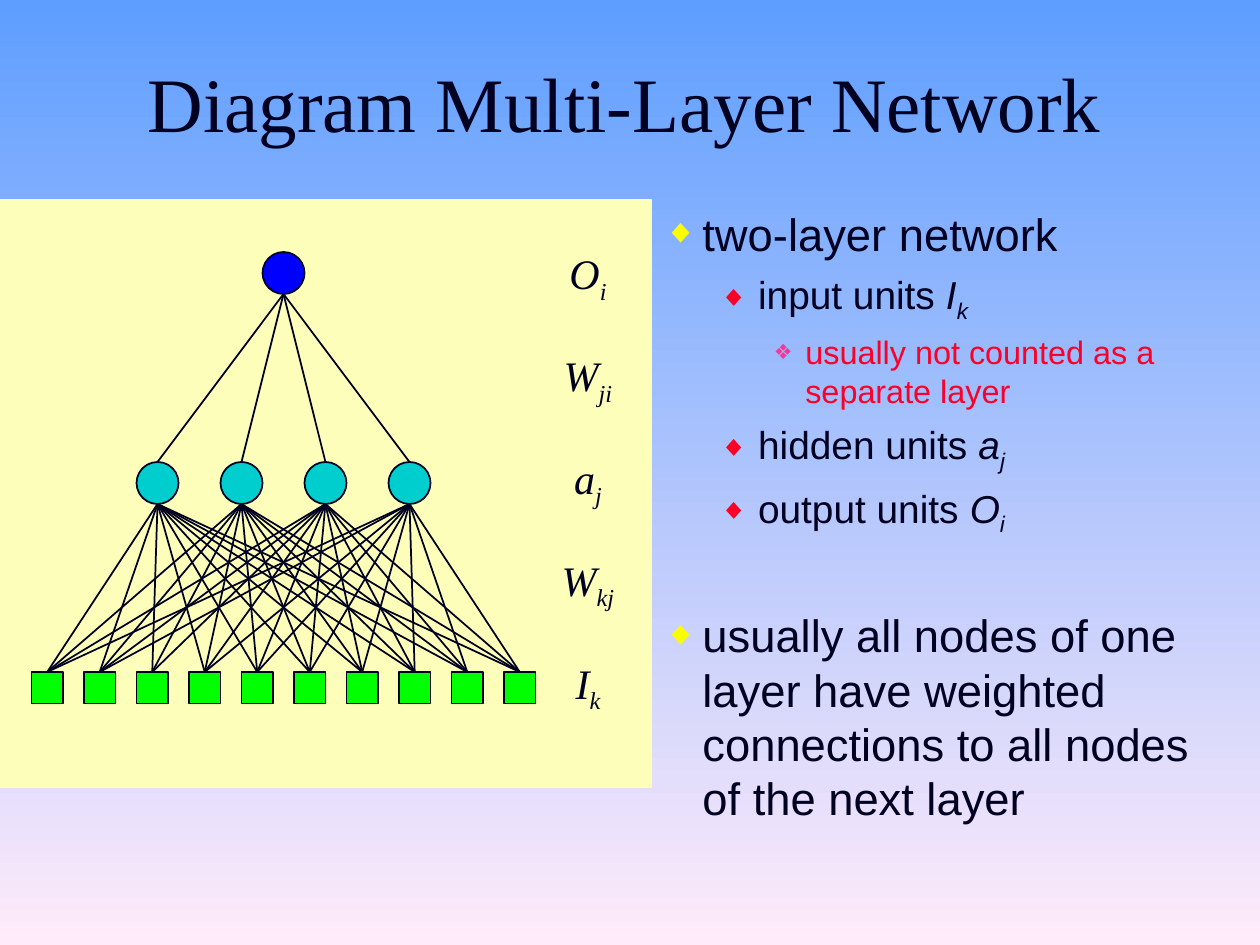
from dataclasses import dataclass
from itertools import product
from typing import NamedTuple

from lxml.etree import SubElement
from pptx import Presentation
from pptx.dml.color import RGBColor
from pptx.enum.shapes import MSO_CONNECTOR as Connector, MSO_SHAPE as Shape
from pptx.enum.text import MSO_ANCHOR as Anchor, MSO_AUTO_SIZE as AutoSize, PP_ALIGN as Align
from pptx.oxml.ns import qn
from pptx.util import Emu, Pt

EMU_PER_PX = 7620  # 120 px to the inch


@dataclass(frozen=True)
class Theme:
    ink: str = "000020"
    sky: str = "5E9EFF"
    blush: str = "FFEBFA"
    panel: str = "FCFEB9"
    output: str = "0000FF"
    hidden: str = "00CECE"
    input: str = "00FF00"
    yellow: str = "FAFD00"
    red: str = "FC0128"
    pink: str = "FF3399"
    serif: str = "Times New Roman"
    sans: str = "Arial"
    title_size: float = 44
    label_size: float = 24


THEME = Theme()


class Symbol(NamedTuple):
    letter: str
    index: str


class Label(NamedTuple):
    symbol: Symbol
    width: int


class Level(NamedTuple):
    size: float
    color: str
    bullet: str
    bullet_color: str
    bullet_percent: int
    margin: int
    hanging: int
    before: float


class Item(NamedTuple):
    level: int
    text: str
    symbol: Symbol | None = None
    before: float | None = None


@dataclass(frozen=True)
class Layer:
    count: int
    left: int
    top: int
    size: int
    pitch: int
    shape: Shape
    fill: str

    def lefts(self) -> list[int]:
        return [self.left + n * self.pitch for n in range(self.count)]

    def centers(self) -> list[int]:
        return [left + self.size // 2 for left in self.lefts()]


OUTPUTS = Layer(1, 250, 240, 40, 80, Shape.OVAL, THEME.output)
HIDDEN = Layer(4, 130, 440, 40, 80, Shape.OVAL, THEME.hidden)
INPUTS = Layer(10, 30, 640, 30, 50, Shape.RECTANGLE, THEME.input)
UNLINKED = {(2, 3)}  # third input and fourth hidden unit

OUTPUT, ACTIVATION, INPUT = Symbol("O", "i"), Symbol("a", "j"), Symbol("I", "k")
LABELS = [
    Label(OUTPUT, 64),
    Label(Symbol("W", "ji"), 74),
    Label(ACTIVATION, 56),
    Label(Symbol("W", "kj"), 78),
    Label(INPUT, 54),
]
LABEL_CENTER, LABEL_TOP, LABEL_BOTTOM, LABEL_HEIGHT = 560, 230, 620, 67

LEVELS = [
    Level(25.9, THEME.ink, "◆", THEME.yellow, 75, 37, 37, 7),
    Level(22.2, THEME.ink, "◆", THEME.red, 75, 90, 37, 6),
    Level(18.5, THEME.red, "❖", THEME.pink, 65, 135, 30, 5),
]
ITEMS = [
    Item(0, "two-layer network", before=0),
    Item(1, "input units ", INPUT),
    Item(2, "usually not counted as a separate layer"),
    Item(1, "hidden units ", ACTIVATION),
    Item(1, "output units ", OUTPUT),
    Item(0, "usually all nodes of one layer have weighted connections "
            "to all nodes of the next layer", before=40),
]


def px(length: int) -> Emu:
    return Emu(length * EMU_PER_PX)


def rgb(color: str) -> RGBColor:
    return RGBColor.from_string(color)


def add_text(para, text: str, *, size: float, font: str, color: str = THEME.ink,
             italic: bool = False, subscript: bool = False) -> None:
    span = para.add_run()
    span.text = text
    span.font.size, span.font.name = Pt(size), font
    span.font.italic = italic
    span.font.color.rgb = rgb(color)
    if subscript:
        span._r.get_or_add_rPr().set("baseline", "-25000")


def add_symbol(para, symbol: Symbol, **style) -> None:
    add_text(para, symbol.letter, italic=True, **style)
    add_text(para, symbol.index, italic=True, subscript=True, **style)


def place(box, left: int, top: int, width: int, height: int) -> None:
    box.left, box.top, box.width, box.height = map(px, (left, top, width, height))


def add_block(shapes, kind: Shape, left: int, top: int, width: int, height: int,
              fill: str, line: str) -> None:
    block = shapes.add_shape(kind, *map(px, (left, top, width, height)))
    block.shadow.inherit = False
    block.fill.solid()
    block.fill.fore_color.rgb = rgb(fill)
    block.line.color.rgb = rgb(line)
    block.line.width = Pt(1)


def add_layer(shapes, layer: Layer) -> None:
    for left in layer.lefts():
        add_block(shapes, layer.shape, left, layer.top, layer.size, layer.size,
                  layer.fill, THEME.ink)


def connect(shapes, lower: Layer, upper: Layer, skipped: set[tuple[int, int]]) -> None:
    for low, high in product(range(lower.count), range(upper.count)):
        if (low, high) in skipped:
            continue
        ends = (lower.centers()[low], lower.top,
                upper.centers()[high], upper.top + upper.size)
        line = shapes.add_connector(Connector.STRAIGHT, *map(px, ends))
        line.line.color.rgb = rgb(THEME.ink)
        line.line.width = Pt(1)
        SubElement(line._element.spPr, qn("a:effectLst"))


def add_bullet(para, level: Level) -> None:
    props = para._p.get_or_add_pPr()
    props.set("marL", str(px(level.margin)))
    props.set("indent", str(-px(level.hanging)))
    color = SubElement(props, qn("a:buClr"))
    SubElement(color, qn("a:srgbClr"), val=level.bullet_color)
    SubElement(props, qn("a:buSzPct"), val=str(level.bullet_percent * 1000))
    SubElement(props, qn("a:buChar"), char=level.bullet)


def add_item(para, item: Item) -> None:
    level = LEVELS[item.level]
    para.level = item.level
    add_bullet(para, level)
    para.alignment = Align.LEFT
    para.space_before = Pt(level.before if item.before is None else item.before)
    style = {"size": level.size, "font": THEME.sans, "color": level.color}
    add_text(para, item.text, **style)
    if item.symbol:
        add_symbol(para, item.symbol, **style)


def add_label(shapes, label: Label, top: int) -> None:
    left = LABEL_CENTER - label.width // 2
    box = shapes.add_textbox(*map(px, (left, top, label.width, LABEL_HEIGHT)))
    frame = box.text_frame
    frame.word_wrap, frame.auto_size = False, AutoSize.SHAPE_TO_FIT_TEXT
    para = frame.paragraphs[0]
    para.alignment = Align.CENTER
    add_symbol(para, label.symbol, size=THEME.label_size, font=THEME.serif)


def main() -> None:
    deck = Presentation()
    deck.slide_width, deck.slide_height = px(1200), px(900)
    page = deck.slides.add_slide(deck.slide_layouts[1])
    shapes = page.shapes

    # Background
    backdrop = page.background.fill
    backdrop.gradient()
    backdrop.gradient_angle = 270
    for stop, color, position in zip(backdrop.gradient_stops, (THEME.sky, THEME.blush), (0, 1)):
        stop.color.rgb, stop.position = rgb(color), position

    # Title
    title = shapes.title
    place(title, 30, 44, 1130, 106)
    title.text_frame.vertical_anchor = Anchor.MIDDLE
    title.text_frame.auto_size = AutoSize.NONE
    heading = title.text_frame.paragraphs[0]
    heading.alignment = Align.CENTER
    add_text(heading, "Diagram Multi-Layer Network", size=THEME.title_size, font=THEME.serif)

    # Bullet list
    body = page.placeholders[1]
    place(body, 620, 190, 570, 610)
    frame = body.text_frame
    frame.auto_size, frame.vertical_anchor = AutoSize.NONE, Anchor.TOP
    for number, item in enumerate(ITEMS):
        add_item(frame.add_paragraph() if number else frame.paragraphs[0], item)

    # Network diagram
    add_block(shapes, Shape.RECTANGLE, 0, 190, 620, 560, THEME.panel, THEME.panel)
    connect(shapes, HIDDEN, OUTPUTS, set())
    connect(shapes, INPUTS, HIDDEN, UNLINKED)
    add_layer(shapes, OUTPUTS)
    for layer in (HIDDEN, INPUTS):
        add_layer(shapes.add_group_shape().shapes, layer)

    # Layer and weight labels, evenly spaced
    for row, label in enumerate(LABELS):
        top = LABEL_TOP + row * (LABEL_BOTTOM - LABEL_TOP) // (len(LABELS) - 1)
        add_label(shapes, label, top)

    deck.save("out.pptx")


if __name__ == "__main__":
    main()
